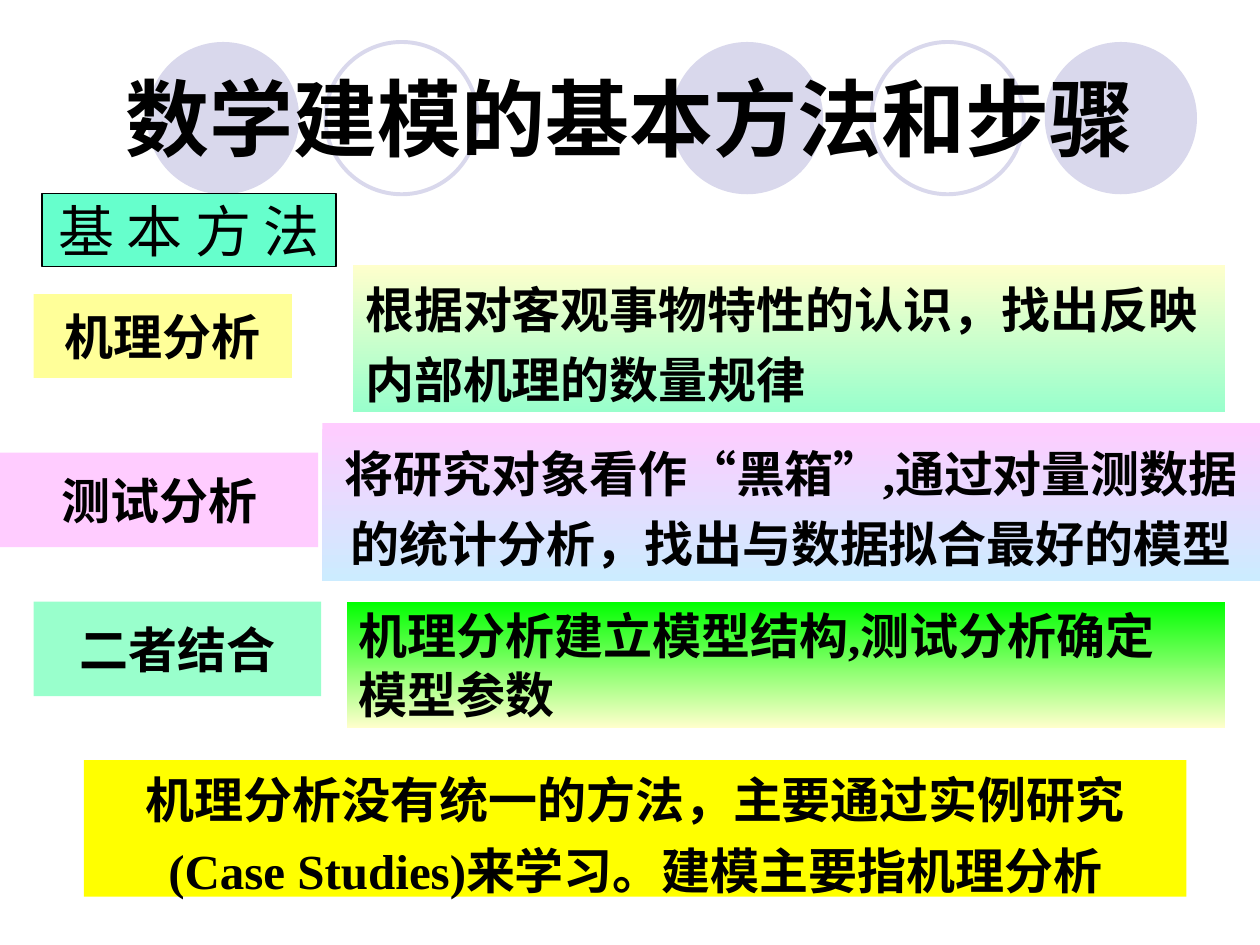
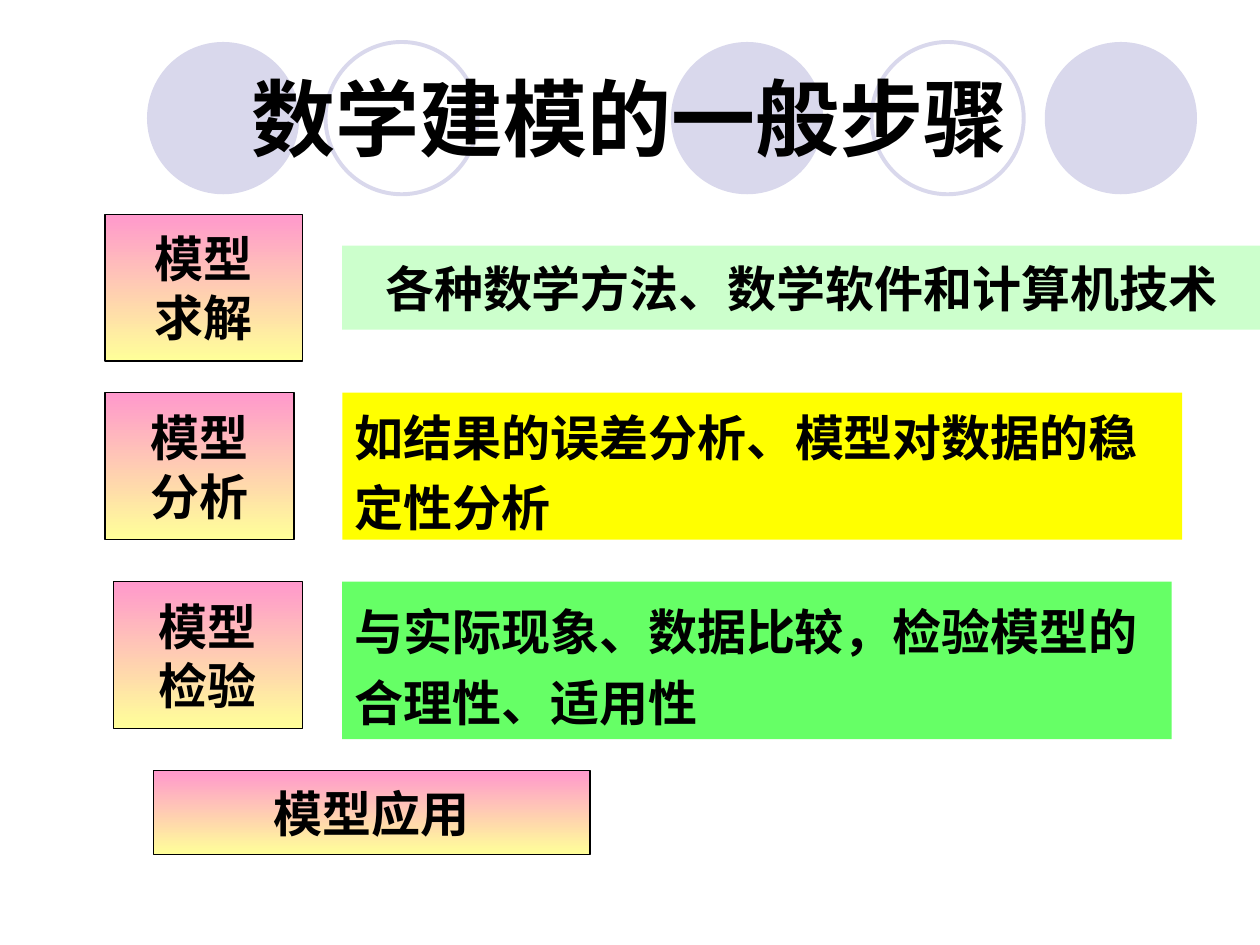
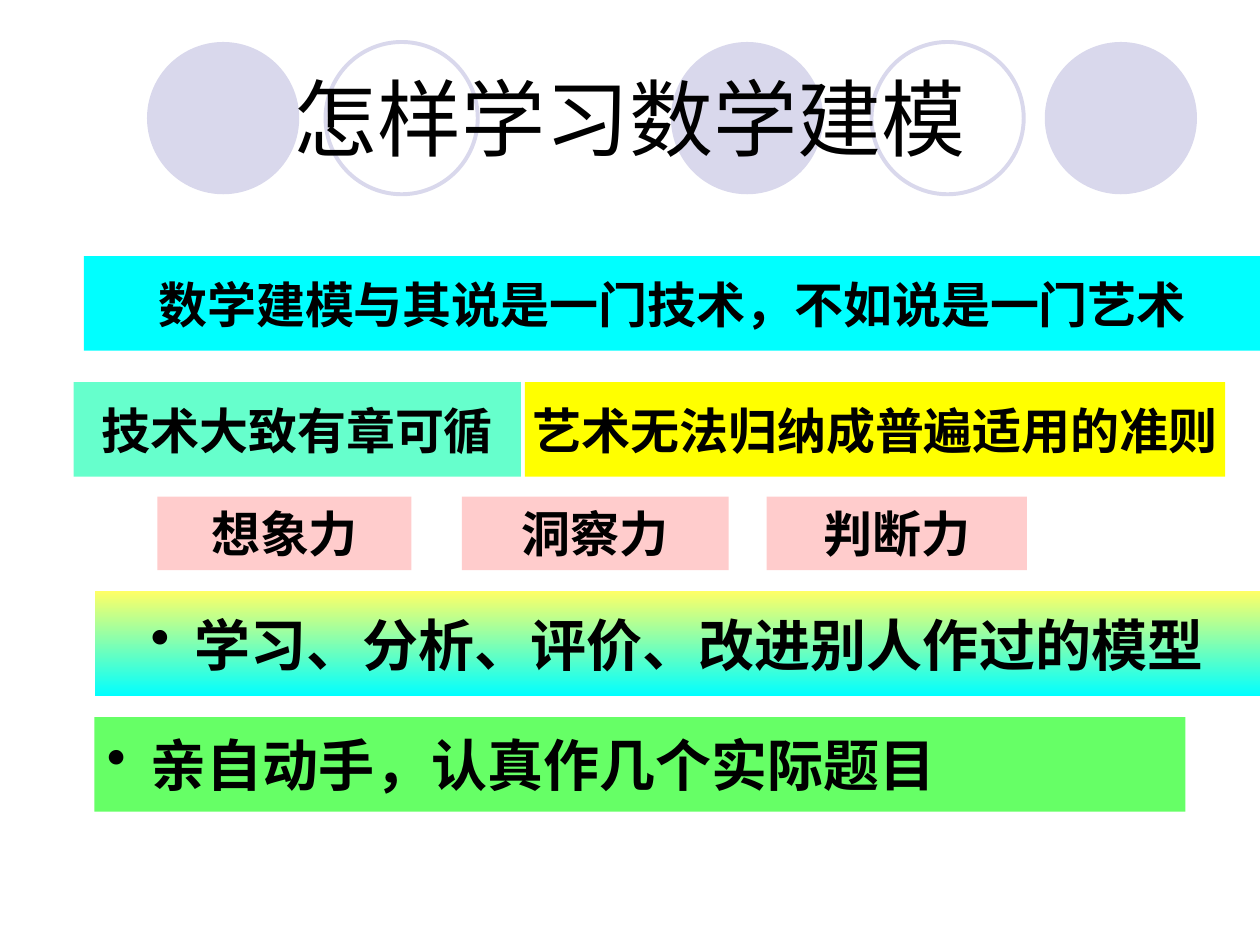
from dataclasses import dataclass
from lxml import etree
from pptx import Presentation
from pptx.dml.color import RGBColor
from pptx.enum.shapes import MSO_SHAPE
from pptx.enum.text import MSO_ANCHOR, PP_ALIGN
from pptx.oxml.ns import qn
from pptx.util import Inches, Pt

RECT, OVAL = MSO_SHAPE.RECTANGLE, MSO_SHAPE.OVAL
MID = MSO_ANCHOR.MIDDLE
LEFT, CENTER = PP_ALIGN.LEFT, PP_ALIGN.CENTER


@dataclass(frozen=True)
class Theme:
    ink: str = "000000"
    ring: str = "D9D8EC"
    sans: str = "Noto Sans CJK SC"
    serif: str = "Times New Roman"
    head: int = 48
    large: int = 32
    body: int = 28
    loose: float = 1.2
    hair: float = 0.75
    thick: float = 2.25


T = Theme()
WIDE, HIGH = 10, 7.5
COLS = 120                      # the grid has 120 columns and 90 rows
CELL = WIDE / COLS

# Shared title band: circles as (column, filled)
RINGS = [(14, True), (31, False), (63.9, True), (83, False), (99.5, True)]
RING_TOP, RING_SIZE = 4, 14.5
TITLE_AT = (6, 3.6, 108, 15)

# Styles that repeat
STEP = dict(fill=("FF99CC", "FFFF99"), line=True)
LOOSE = dict(gap=T.loose)
FLOW = dict(gap=T.loose, align=LEFT)
SANS = dict(font=T.sans)
POINT = dict(font=T.sans, size=T.large, dot=True)
PINK = dict(fill="FFCCCC")

# Content: boxes as (column, row, width, height), lines, style
# A bar in a line separates runs.
SLIDES = [
    dict(
        title="数学建模的基本方法和步骤", font="Arial", bold=True,
        boxes=[
            ((4, 18.4, 28, 7), ["基 本 方 法"],
             dict(fill="66FFCC", line=True, size=T.large, bold=False)),
            ((3.2, 28, 24.6, 8), ["机理分析"], dict(fill="FFFF99")),
            ((0, 43.1, 30.3, 9), ["测试分析"], dict(fill="FFCCFF", **SANS)),
            ((33.6, 25.2, 83.1, 14),
             ["根据对客观事物特性的认识，找出反映", "内部机理的数量规律"],
             dict(fill=("FFFFCC", "99FFCC"), **FLOW)),
            ((30.7, 40.3, 89.3, 15),
             ["将研究对象看作“黑箱”,通过对量测数据",
              "的统计分析，找出与数据拟合最好的模型"],
             dict(fill=("FFCCFF", "CCECFF"), **LOOSE)),
            ((8, 72.4, 105, 13),
             ["机理分析没有统一的方法，主要通过实例研究",
              "(Case Studies)|来学习。建模主要指机理分析"],
             dict(fill="FFFF00", **LOOSE, **SANS)),
            ((3.2, 57.3, 27.4, 9), ["二者结合"], dict(fill="99FFCC", **SANS)),
            ((33, 57.3, 83.7, 12),
             ["机理分析建立模型结构,测试分析确定", "模型参数"],
             dict(fill=("00FF00", "FFFFCC"), align=LEFT)),
        ]),
    dict(
        title="数学建模的一般步骤", font=T.sans, bold=True,
        boxes=[
            ((10, 20.4, 18.8, 14), ["模型", "求解"], STEP),
            ((32.6, 23.4, 87.4, 8), ["各种数学方法、数学软件和计算机技术"],
             dict(fill="CCFFCC")),
            ((32.6, 37.4, 80, 14),
             ["如结果的误差分析、模型对数据的稳", "定性分析"],
             dict(fill="FFFF00", **FLOW)),
            ((10, 37.4, 18, 14), ["模型", "分析"], STEP),
            ((10.8, 55.4, 18, 14), ["模型", "检验"], STEP),
            ((32.6, 55.4, 79, 15),
             ["与实际现象、数据比较，检验模型的", "合理性、适用性"],
             dict(fill="66FF66", **FLOW)),
            ((14.6, 73.4, 41.6, 8), ["模型应用"], STEP),
        ]),
    dict(
        title="怎样学习数学建模", font=T.sans, bold=False,
        boxes=[
            ((8, 24.4, 112, 9),
             ["数学建模与其说是一门技术，不如说是一门艺术"], dict(fill="00FFFF")),
            ((7, 36.4, 42.6, 9), ["技术大致有章可循"], dict(fill="66FFCC")),
            ((50, 36.4, 66.7, 9), ["艺术无法归纳成普遍适用的准则"],
             dict(fill="FFFF00")),
            ((15, 47.3, 24.2, 7), ["想象力"], PINK),
            ((44, 47.3, 25.4, 7), ["洞察力"], PINK),
            ((73, 47.3, 24.8, 7), ["判断力"], PINK),
            ((9, 56.3, 111, 10), ["学习、分析、评价、改进别人作过的模型"],
             dict(fill=("FFFF66", "00FFFF"), **POINT)),
            ((9, 68.3, 103.9, 9), ["亲自动手，认真作几个实际题目"],
             dict(fill="66FF66", align=LEFT, **POINT)),
        ]),
]


def place(at):
    return [Inches(n * CELL) for n in at]


def tint(hue):
    return RGBColor.from_string(hue)


def paint(shape, fill=None, line=None, width=T.hair):
    """Fill with one colour, a top-down pair or nothing."""
    shape.shadow.inherit = False
    if fill is None:
        shape.fill.background()
    elif isinstance(fill, tuple):
        shape.fill.gradient()
        shape.fill.gradient_angle = 270
        for stop, hue, spot in zip(shape.fill.gradient_stops, fill, (0, 1)):
            stop.color.rgb = tint(hue)
            stop.position = spot
    else:
        shape.fill.solid()
        shape.fill.fore_color.rgb = tint(fill)
    if line:
        shape.line.color.rgb = tint(line)
        shape.line.width = Pt(width)
    else:
        shape.line.fill.background()


def add_dot(para):
    props = para._p.get_or_add_pPr()
    hang = Inches(0.35)
    props.set("marL", str(hang))
    props.set("indent", str(-hang))
    hue = etree.SubElement(props, qn("a:buClr"))
    etree.SubElement(hue, qn("a:srgbClr")).set("val", T.ink)
    etree.SubElement(props, qn("a:buChar")).set("char", "•")


def write(shape, lines, font=T.serif, size=T.body, bold=True,
          align=CENTER, gap=None, dot=False):
    frame = shape.text_frame
    frame.word_wrap = False
    frame.vertical_anchor = MID
    frame.text = "\n".join(lines)
    for para, line in zip(frame.paragraphs, lines):
        para.alignment = align
        if gap:
            para.line_spacing = gap
        if dot:
            add_dot(para)
        bits = line.split("|")
        para.runs[0].text = bits[0]
        for bit in bits[1:]:
            para.add_run().text = bit
        for run in para.runs:
            face = run.font
            face.name = T.serif if run.text.isascii() else font
            face.size, face.bold = Pt(size), bold
            face.color.rgb = tint(T.ink)
            east = etree.SubElement(run._r.get_or_add_rPr(), qn("a:ea"))
            east.set("typeface", T.sans)


def add_head(slide, title, font, bold):
    for col, full in RINGS:
        ring = slide.shapes.add_shape(
            OVAL, *place((col, RING_TOP, RING_SIZE, RING_SIZE)))
        if full:
            paint(ring, fill=T.ring)
        else:
            paint(ring, line=T.ring, width=T.thick)
    box = slide.shapes.add_textbox(*place(TITLE_AT))
    write(box, [title], font, T.head, bold)


def add_box(slide, at, lines, fill, line=False, **style):
    box = slide.shapes.add_shape(RECT, *place(at))
    paint(box, fill, T.ink if line else None)
    write(box, lines, **style)


def main():
    deck = Presentation()
    deck.slide_width, deck.slide_height = Inches(WIDE), Inches(HIGH)
    for page in SLIDES:
        slide = deck.slides.add_slide(deck.slide_layouts[6])
        add_head(slide, page["title"], page["font"], page["bold"])
        for at, lines, style in page["boxes"]:
            add_box(slide, at, lines, **style)
    deck.save("out.pptx")


if __name__ == "__main__":
    main()
